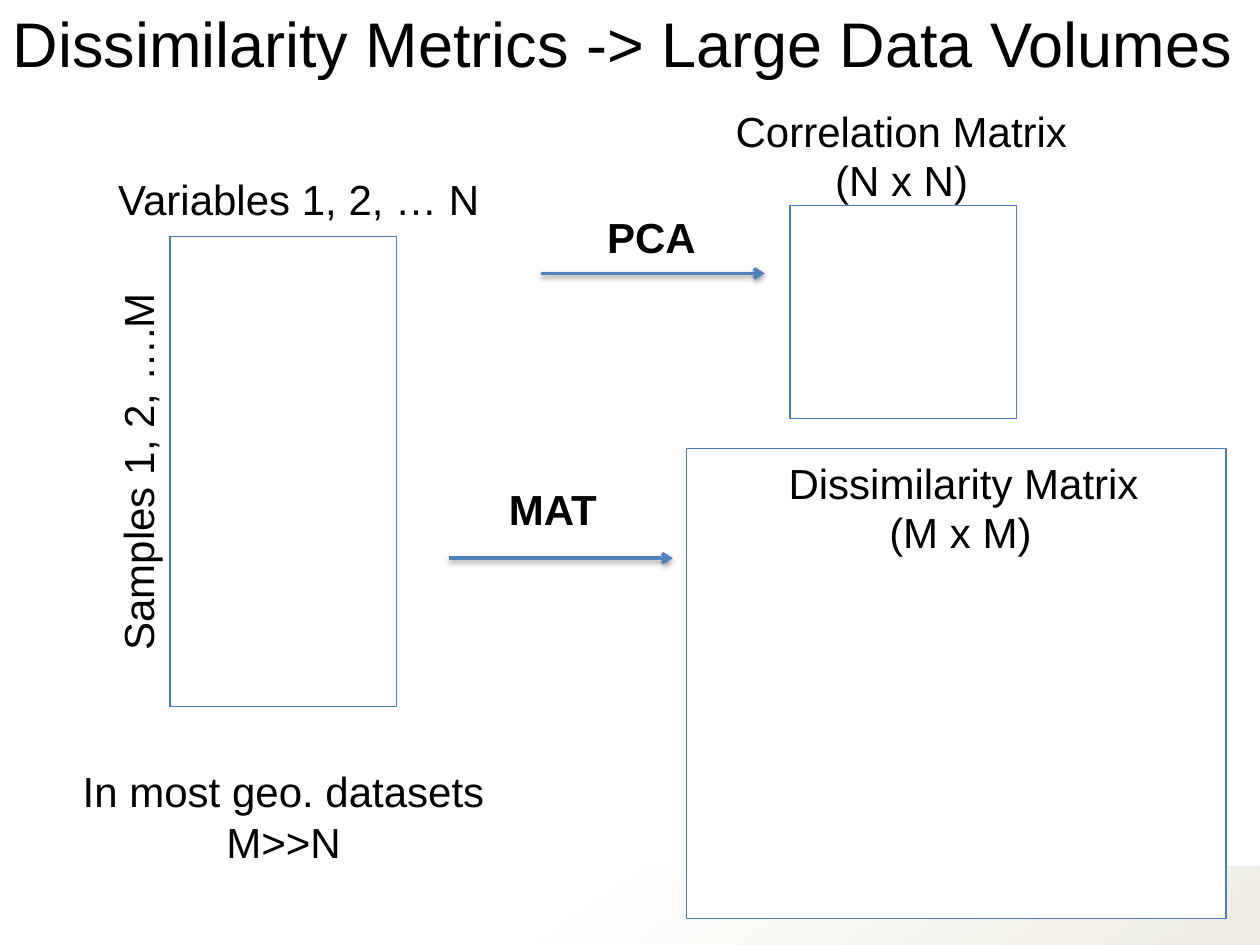
"""Build a slide comparing the matrix sizes behind PCA and MAT."""
from lxml import etree
from pptx import Presentation
from pptx.dml.color import RGBColor
from pptx.enum.shapes import MSO_CONNECTOR, MSO_SHAPE
from pptx.enum.text import MSO_ANCHOR, MSO_AUTO_SIZE, PP_ALIGN
from pptx.oxml import parse_xml
from pptx.oxml.ns import nsdecls, qn
from pptx.util import Inches, Pt

RECTANGLE = MSO_SHAPE.RECTANGLE
STRAIGHT = MSO_CONNECTOR.STRAIGHT
LEFT, CENTER = PP_ALIGN.LEFT, PP_ALIGN.CENTER
MIDDLE = MSO_ANCHOR.MIDDLE
FIT_SHAPE = MSO_AUTO_SIZE.SHAPE_TO_FIT_TEXT

WIDTH, HEIGHT = 10, 7.5
FOOTER_TOP = 6.88
SAMPLES, VARIABLES, DISSIMILARITY = 3.73, 1.8, 4.28
ARROW_LENGTH = 1.78
LINE_HEIGHT = 0.5
FONT = "Arial"
COLORS = {"text": "000000", "paper": "FFFFFF", "sand": "EEECE1",
          "outline": "4B7EBC", "arrow": "4F81BD"}

TITLE = "Dissimilarity Metrics -> Large Data Volumes"
MATRICES = [
    (1.35, 1.88, VARIABLES, SAMPLES),
    (6.27, 1.63, VARIABLES, 1.69),
    (5.45, 3.56, DISSIMILARITY, SAMPLES),
]
ARROWS = [(4.29, 2.17), (3.56, 4.43)]
LABELS = [
    ("Variables 1, 2, … N", 0.84, 1.33, 3.1, {}),
    ("Samples 1, 2, ….M", -0.44, 3.48, 3.06, {"rotation": 270}),
    ("Correlation Matrix", 5.74, 0.79, 2.86, {}),
    ("(N x N)", 6.53, 1.18, 1.27, {}),
    ("PCA", 4.72, 1.63, 0.91, {"bold": True}),
    ("MAT", 3.94, 3.79, 0.91, {"bold": True}),
    ("Dissimilarity Matrix", 6.16, 3.58, 3.01, {}),
    ("(M x M)", 6.96, 3.97, 1.34, {}),
    ("In most geo. datasets\nM>>N", 0.54, 6.03, 3.42,
     {"align": CENTER, "height": 0.91}),
]
SHADOW = (f'<a:effectLst {nsdecls("a")}>'
          '<a:outerShdw blurRad="40000" dist="20000" dir="5400000" rotWithShape="0">'
          '<a:srgbClr val="000000"><a:alpha val="38000"/></a:srgbClr>'
          '</a:outerShdw></a:effectLst>')


def color(name):
    return RGBColor.from_string(COLORS[name])


def inches(*values):
    return [Inches(value) for value in values]


def write(frame, text, size=24, bold=False, align=LEFT):
    frame.text = text
    for para in frame.paragraphs:
        para.alignment = align
        para.font.name = FONT
        para.font.size = Pt(size)
        para.font.bold = bold
        para.font.color.rgb = color("text")


def add_title(page):
    title = page.shapes.title
    title.left, title.top, title.width, title.height = inches(0, 0, WIDTH, 0.67)
    title.text_frame.vertical_anchor = MIDDLE
    write(title.text_frame, TITLE, size=36)


def add_footer_band(page):
    band = page.shapes.add_shape(
        RECTANGLE, *inches(0, FOOTER_TOP, WIDTH, HEIGHT - FOOTER_TOP))
    band.shadow.inherit = False
    band.line.fill.background()
    band.fill.gradient()
    band.fill.gradient_angle = 360 - 55
    stops = zip(band.fill.gradient_stops, (("paper", 0.43), ("sand", 1)))
    for stop, (name, position) in stops:
        stop.color.rgb = color(name)
        stop.position = position


def add_matrix(page, *bounds):
    matrix = page.shapes.add_shape(RECTANGLE, *inches(*bounds))
    matrix.shadow.inherit = False
    matrix.fill.solid()
    matrix.fill.fore_color.rgb = color("paper")
    matrix.line.color.rgb = color("outline")
    matrix.line.width = Pt(0.75)


def add_arrow(page, left, top):
    arrow = page.shapes.add_connector(
        STRAIGHT, *inches(left, top, left + ARROW_LENGTH, top))
    arrow.line.color.rgb = color("arrow")
    arrow.line.width = Pt(2)
    etree.SubElement(arrow.line._get_or_add_ln(), qn("a:tailEnd"), type="arrow")
    arrow._element.spPr.append(parse_xml(SHADOW))


def add_label(page, text, left, top, width, height=LINE_HEIGHT, rotation=0, **style):
    box = page.shapes.add_textbox(*inches(left, top, width, height))
    box.rotation = rotation
    box.text_frame.word_wrap = False
    box.text_frame.auto_size = FIT_SHAPE
    write(box.text_frame, text, **style)


def main():
    deck = Presentation()
    deck.slide_width, deck.slide_height = inches(WIDTH, HEIGHT)
    page = deck.slides.add_slide(deck.slide_layouts[5])
    add_footer_band(page)
    add_title(page)
    for bounds in MATRICES:
        add_matrix(page, *bounds)
    for start in ARROWS:
        add_arrow(page, *start)
    for text, left, top, width, style in LABELS:
        add_label(page, text, left, top, width, **style)
    deck.save("out.pptx")


if __name__ == "__main__":
    main()
